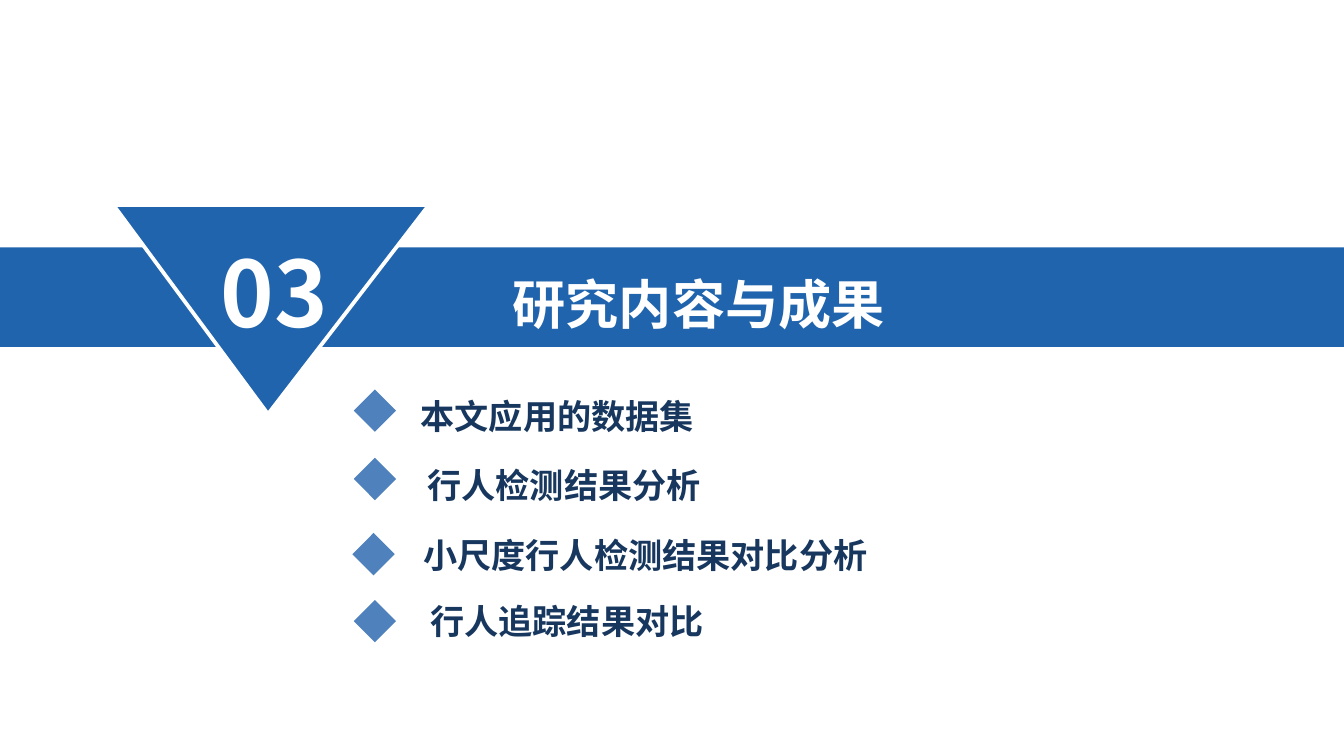
import pptx
import pptx.dml.color
import pptx.enum.shapes
import pptx.enum.text
import pptx.oxml.ns
import pptx.util
from lxml import etree
from pptx.util import Inches

FONT = "Noto Sans CJK SC"
COLORS = {"band": "2064AD", "white": "FFFFFF", "topic": "17375E", "diamond": "4F81BD"}
SHAPES = pptx.enum.shapes.MSO_SHAPE
DIAMOND_SIZE = 0.31

# wording, text left, text top, text width, diamond left, diamond top
TOPICS = [
    ("本文应用的数据集", 2.86, 2.83, 2.44, 2.59, 2.85),
    ("行人检测结果分析", 2.86, 3.34, 2.54, 2.59, 3.35),
    ("小尺度行人检测结果对比分析", 3.03, 3.85, 3.39, 2.58, 3.9),
    ("行人追踪结果对比", 3.14, 4.33, 2.02, 2.59, 4.39),
]


def rgb(name):
    return pptx.dml.color.RGBColor.from_string(COLORS[name])


def add_filled_shape(slide, kind, left, top, width, height, color):
    shape = slide.shapes.add_shape(
        kind, Inches(left), Inches(top), Inches(width), Inches(height))
    shape.shadow.inherit = False
    shape.fill.solid()
    shape.fill.fore_color.rgb = rgb(color)
    shape.line.fill.background()
    return shape


def add_label(slide, text, left, top, width, height, size, color):
    """Add one centred bold line, with the font set for Chinese text too."""
    box = slide.shapes.add_textbox(
        Inches(left), Inches(top), Inches(width), Inches(height))
    frame = box.text_frame
    frame.margin_left = frame.margin_right = frame.margin_top = frame.margin_bottom = 0
    frame.word_wrap = True
    frame.auto_size = pptx.enum.text.MSO_AUTO_SIZE.SHAPE_TO_FIT_TEXT
    frame.text = text
    paragraph = frame.paragraphs[0]
    paragraph.alignment = pptx.enum.text.PP_ALIGN.CENTER
    paragraph.line_spacing = 1.2
    run = paragraph.runs[0]
    run.font.size = pptx.util.Pt(size)
    run.font.bold = True
    run.font.color.rgb = rgb(color)
    run.font.name = FONT
    east_asian = etree.SubElement(run.font._element, pptx.oxml.ns.qn("a:ea"))
    east_asian.set("typeface", FONT)


def add_section_header(slide):
    add_filled_shape(slide, SHAPES.RECTANGLE, 0, 1.81, 9.84, 0.73, "band")
    triangle = add_filled_shape(
        slide, SHAPES.ISOSCELES_TRIANGLE, 0.83, 1.5, 2.31, 1.53, "band")
    triangle.rotation = 180
    triangle.adjustments[0] = 0.51
    triangle.line.color.rgb = rgb("white")
    triangle.line.width = pptx.util.Pt(2)
    add_label(slide, "03", 0.75, 1.57, 2.52, 0.89, 48, "white")
    add_label(slide, "研究内容与成果", 3.58, 1.89, 3.07, 0.52, 28, "white")


def add_topic(slide, text, left, top, width, diamond_left, diamond_top):
    add_label(slide, text, left, top, width, 0.33, 18, "topic")
    add_filled_shape(slide, SHAPES.DIAMOND, diamond_left, diamond_top,
                     DIAMOND_SIZE, DIAMOND_SIZE, "diamond")


def main():
    presentation = pptx.Presentation()
    presentation.slide_width = Inches(9.84)
    presentation.slide_height = Inches(5.51)
    slide = presentation.slides.add_slide(presentation.slide_layouts[6])
    add_section_header(slide)
    for topic in TOPICS:
        add_topic(slide, *topic)
    presentation.save("out.pptx")


if __name__ == "__main__":
    main()
